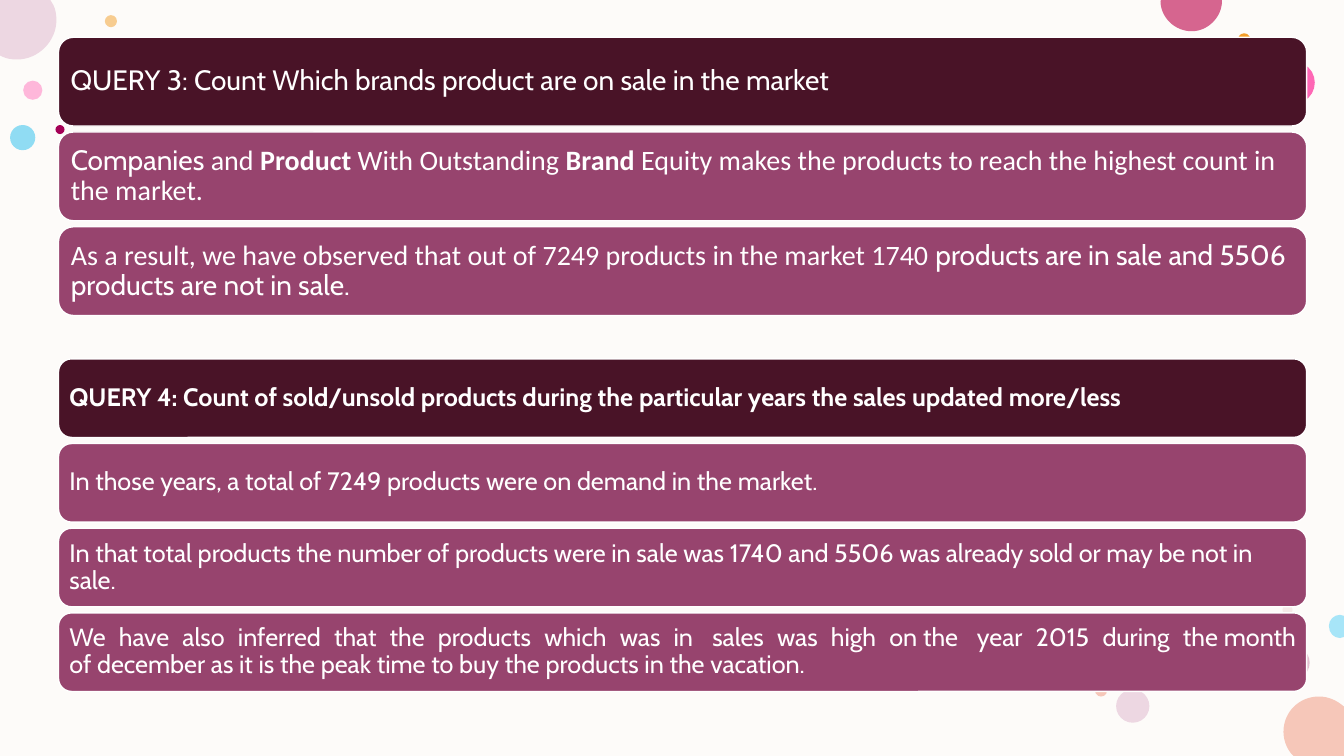
from dataclasses import dataclass

from lxml.etree import SubElement
from pptx import Presentation
from pptx.dml.color import RGBColor
from pptx.enum.shapes import MSO_SHAPE
from pptx.enum.text import MSO_ANCHOR, MSO_AUTO_SIZE, PP_ALIGN
from pptx.oxml.ns import qn
from pptx.util import Inches, Pt

SLIDE_W, SLIDE_H = 13.33, 7.5
NO_BREAK_SPACE = chr(160)  # typed as ~ in the wording below


@dataclass(frozen=True)
class Theme:
    background: str = "FDFBF9"
    heading: str = "491327"
    body: str = "97446E"
    white: str = "FFFFFF"
    font: str = "Cabin"
    alternate_font: str = "Calibri"
    large: int = 20
    medium: int = 18


THEME = Theme()
BAR_LEFT, BAR_WIDTH, BAR_GAP = 0.58, 12.38, 0.06
PADDING = {THEME.large: 0.08, THEME.medium: 0.07}

# Whole dots: left, top, diameter, colour, opacity in percent
DOTS = [
    (0.23, 0.8, 0.19, "FF75BD", 50),
    (1.04, 0.15, 0.12, "F39E29", 50),
    (12.66, 6.41, 0.33, "C987A8", 50),
    (0.1, 1.24, 0.25, "24BEEE", 50),
    (12.62, 0.61, 0.42, "FF2F9C", 72),
    (12.28, 0.33, 0.12, "F39E29", 100),
    (12.72, 6, 0.1, "E3BEBE", 28),
    (11.07, 6.84, 0.33, "EDD7E2", 100),
    (10.86, 6.79, 0.12, "F6C7B9", 100),
    (0.55, 1.24, 0.09, "A40056", 100),
]

# Dots cut by the slide edge: colour, start, then lines (x, y) and curves (two controls, end)
EDGE_DOTS = [
    ("F6C7B9", (13.08, 6.91), [
        (13.18, 6.91, 13.26, 6.95, 13.33, 7.01), (13.33, 7.5), (12.83, 7.5), (12.81, 7.48),
        (12.76, 7.42, 12.73, 7.34, 12.73, 7.26), (12.73, 7.06, 12.89, 6.91, 13.08, 6.91)]),
    ("EDD7E2", (0, 0), [
        (0.5, 0), (0.53, 0.05), (0.55, 0.09, 0.56, 0.14, 0.56, 0.2),
        (0.56, 0.41, 0.38, 0.59, 0.17, 0.59), (0.11, 0.59, 0.06, 0.58, 0.02, 0.56), (0, 0.55)]),
    ("D6658F", (11.52, 0), [
        (12.12, 0), (12.12, 0.01), (12.12, 0.17, 11.98, 0.31, 11.82, 0.31),
        (11.65, 0.31, 11.51, 0.17, 11.51, 0.01)]),
    ("A7E5F8", (13.29, 6.1), [
        (13.33, 6.11), (13.33, 6.32), (13.29, 6.33),
        (13.23, 6.33, 13.18, 6.28, 13.18, 6.21), (13.18, 6.15, 13.23, 6.1, 13.29, 6.1)]),
]

# Each text is a list of runs: wording, font, bold
QUERY_3_TITLE = [("QUERY 3: Count Which brands product are on sale in the market", THEME.font, False)]
QUERY_3_FINDINGS = [
    [
        ("Companies", THEME.font, False),
        ("~and~", THEME.alternate_font, False),
        ("Product~", THEME.alternate_font, True),
        ("With Outstanding~", THEME.alternate_font, False),
        ("Brand", THEME.alternate_font, True),
        ("~Equity makes the products~to reach the~highest count in the market.",
         THEME.alternate_font, False),
    ],
    [
        ("As a result, we have observed that out of 7249 products in the market 1740~",
         THEME.alternate_font, False),
        ("products are in sale~and 5506 products are not in sale.", THEME.font, False),
    ],
]
QUERY_4_TITLE = [("QUERY 4: Count of sold/unsold products during the~particular years~"
                  "the~sales updated more/less", THEME.font, True)]
QUERY_4_FINDINGS = [
    [("In those years, a total of 7249 products were on demand in the~market.", THEME.font, False)],
    [("In that total products the number of products were in sale was~1740 and 5506~"
      "was already sold or may be not in sale.", THEME.font, False)],
    [("We have also inferred that the products which was in ~sales was high on~the~ year 2015 "
      "during the~month of~december~as it is the peak time to buy the~products in the vacation.",
      THEME.font, False)],
]


def paint(shape, colour, opacity=100):
    shape.shadow.inherit = False
    shape.fill.solid()
    shape.fill.fore_color.rgb = RGBColor.from_string(colour)
    shape.line.fill.background()
    if opacity < 100:
        rgb = shape.fill._xPr.find(qn("a:solidFill"))[0]
        SubElement(rgb, qn("a:alpha")).set("val", str(opacity * 1000))


def add_backdrop(slide):
    backdrop = slide.shapes.add_shape(MSO_SHAPE.RECTANGLE, 0, 0, Inches(SLIDE_W), Inches(SLIDE_H))
    paint(backdrop, THEME.background)


def add_dot(slide, left, top, diameter, colour, opacity):
    dot = slide.shapes.add_shape(MSO_SHAPE.OVAL, Inches(left), Inches(top),
                                 Inches(diameter), Inches(diameter))
    paint(dot, colour, opacity)


def add_edge_dot(slide, colour, start, segments):
    """Draw the visible part of a dot, bending the segments that have control points."""
    builder = slide.shapes.build_freeform(Inches(start[0]), Inches(start[1]))
    builder.add_line_segments([(Inches(s[-2]), Inches(s[-1])) for s in segments], close=True)
    dot = builder.convert_to_shape()
    paint(dot, colour)
    lines = list(dot._element.iter(qn("a:lnTo")))
    for line, segment in zip(lines, segments):
        if len(segment) == 6:
            line.tag = qn("a:cubicBezTo")
            for index in (0, 1):
                control = line.makeelement(qn("a:pt"))
                control.set("x", str(Inches(segment[2 * index]) - dot.left))
                control.set("y", str(Inches(segment[2 * index + 1]) - dot.top))
                line.insert(index, control)


def write_runs(frame, runs, size, align=PP_ALIGN.LEFT):
    frame.word_wrap = True
    frame.auto_size = MSO_AUTO_SIZE.NONE
    frame.vertical_anchor = MSO_ANCHOR.MIDDLE
    frame.margin_left = frame.margin_right = Inches(PADDING[size])
    frame.margin_top = frame.margin_bottom = Inches(PADDING[size])
    paragraph = frame.paragraphs[0]
    paragraph.alignment = align
    paragraph.line_spacing = 0.9
    for wording, font, bold in runs:
        run = paragraph.add_run()
        run.text = wording.replace("~", NO_BREAK_SPACE)
        run.font.name = font
        run.font.size = Pt(size)
        run.font.bold = bold
        run.font.color.rgb = RGBColor.from_string(THEME.white)


def add_bar(slide, top, height, colour):
    bar = slide.shapes.add_shape(MSO_SHAPE.ROUNDED_RECTANGLE, Inches(BAR_LEFT), Inches(top),
                                 Inches(BAR_WIDTH), Inches(height))
    paint(bar, colour)
    bar.line.color.rgb = RGBColor.from_string(THEME.white)
    bar.line.width = Pt(1)
    return bar


def add_findings(slide, findings, top, height, size, last_align=PP_ALIGN.LEFT):
    """Stack the finding bars below the heading bar that starts at top."""
    for row, runs in enumerate(findings, start=1):
        bar = add_bar(slide, top + row * (height + BAR_GAP), height, THEME.body)
        align = last_align if row == len(findings) else PP_ALIGN.LEFT
        write_runs(bar.text_frame, runs, size, align)


def place_title(slide, runs, top, height, size, inset=0.04):
    title = slide.shapes.title
    title.left, title.top = Inches(BAR_LEFT + inset), Inches(top + inset)
    title.width, title.height = Inches(BAR_WIDTH - 2 * inset), Inches(height - 2 * inset)
    write_runs(title.text_frame, runs, size)
    slide.shapes._spTree.append(title._element)  # bring in front of its bar


def main():
    deck = Presentation()
    deck.slide_width, deck.slide_height = Inches(SLIDE_W), Inches(SLIDE_H)
    slide = deck.slides.add_slide(deck.slide_layouts[5])

    # Backdrop and decorative dots
    add_backdrop(slide)
    for dot in DOTS:
        add_dot(slide, *dot)
    for edge_dot in EDGE_DOTS:
        add_edge_dot(slide, *edge_dot)

    # Query 3
    top, height = 0.37, 0.88
    add_bar(slide, top, height, THEME.heading)
    place_title(slide, QUERY_3_TITLE, top, height, THEME.large)
    add_findings(slide, QUERY_3_FINDINGS, top, height, THEME.large)

    # Query 4
    top, height = 3.56, 0.78
    heading = add_bar(slide, top, height, THEME.heading)
    write_runs(heading.text_frame, QUERY_4_TITLE, THEME.medium)
    add_findings(slide, QUERY_4_FINDINGS, top, height, THEME.medium, PP_ALIGN.JUSTIFY)

    deck.save("out.pptx")


if __name__ == "__main__":
    main()
